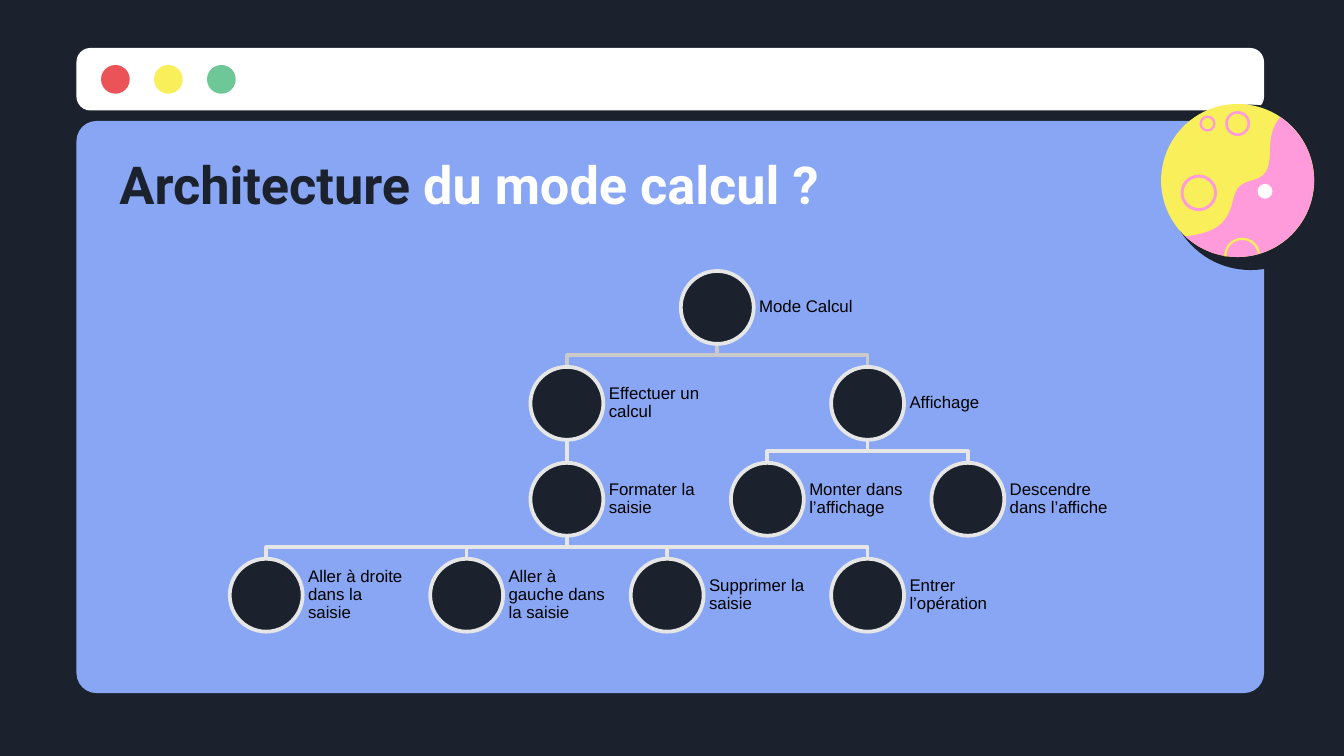
import math
import lxml.etree
import pptx
import pptx.dml.color
import pptx.enum.shapes
import pptx.enum.text
import pptx.oxml.ns
import pptx.util

Pt = pptx.util.Pt
Kind = pptx.enum.shapes.MSO_SHAPE

THEME = {
    "dark": "1B222D", "blue": "88A6F3", "white": "FFFFFF", "black": "000000",
    "red": "EB5358", "yellow": "F8EF5B", "green": "6DC797", "pink": "FF9BDA",
    "line": "E6E6E6", "root line": "CACACA",
    "title font": "Roboto", "title size": 28,
    "label font": "Arial", "label size": 9,
}

TITLE = [("Architecture", "dark"), (" du mode calcul ?", "white")]

# name: (label, column, level, parent)
TREE = {
    "root": ("Mode Calcul", 2.25, 0, None),
    "calc": ("Effectuer un calcul", 1.5, 1, "root"),
    "show": ("Affichage", 3, 1, "root"),
    "format": ("Formater la saisie", 1.5, 2, "calc"),
    "up": ("Monter dans l’affichage", 2.5, 2, "show"),
    "down": ("Descendre dans l’affiche", 3.5, 2, "show"),
    "right": ("Aller à droite dans la saisie", 0, 3, "format"),
    "left": ("Aller à gauche dans la saisie", 1, 3, "format"),
    "delete": ("Supprimer la saisie", 2, 3, "format"),
    "enter": ("Entrer l’opération", 3, 3, "format"),
}
NODE = 39.1           # diameter of a node
TOP = 164.7           # centre of the root
COL, ROW = 107.4, 51.4
LEFT = 142.6          # centre of the first column
LABEL = 58.3

BUTTONS = ["red", "yellow", "green"]

PLANET = (663, 96.7, 41)
RINGS = [(663, 66.2, 6, 1.4), (642.2, 103.3, 9, 1.6), (646.9, 66.2, 3.7, 1.2)]
COAST = [
    [(635, 126.7), (652.3, 124.6), (658.1, 119.5), (661, 105.8)],
    [(661, 105.8), (664.6, 90.7), (680.4, 103.7), (680.4, 81.4)],
    [(680.4, 81.4), (680.4, 70.6), (683.3, 65.5), (686.2, 62.6)],
]

deck = pptx.Presentation()
deck.slide_width, deck.slide_height = Pt(720), Pt(405)
slide = deck.slides.add_slide(deck.slide_layouts[6])
shapes = slide.shapes


def color(name):
    return pptx.dml.color.RGBColor.from_string(THEME[name])


def paint(shape, fill=None, line=None, width=1):
    shape.shadow.inherit = False
    if fill:
        shape.fill.solid()
        shape.fill.fore_color.rgb = color(fill)
    else:
        shape.fill.background()
    if line:
        shape.line.color.rgb = color(line)
        shape.line.width = Pt(width)
    else:
        shape.line.fill.background()


def disc(x, y, r, fill=None, line=None, width=1):
    shape = shapes.add_shape(Kind.OVAL, Pt(x - r), Pt(y - r), Pt(2 * r), Pt(2 * r))
    paint(shape, fill, line, width)


def panel(x, y, w, h, curve, fill):
    shape = shapes.add_shape(Kind.ROUNDED_RECTANGLE, Pt(x), Pt(y), Pt(w), Pt(h))
    shape.adjustments[0] = curve
    paint(shape, fill)


def trace(points, close=False):
    spots = [(Pt(x), Pt(y)) for x, y in points]
    maker = shapes.build_freeform(*spots[0])
    maker.add_line_segments(spots[1:], close=close)
    return maker.convert_to_shape()


def arc(x, y, r, start, end, steps=48):
    """Points on a circle; angles in degrees, clockwise from the right."""
    turns = [math.radians(start + (end - start) * i / steps) for i in range(steps + 1)]
    return [(x + r * math.cos(t), y + r * math.sin(t)) for t in turns]


def curve(a, b, c, d, steps=16):
    """Points on a cubic Bezier curve."""
    def mix(t, i):
        s = 1 - t
        return s**3 * a[i] + 3 * s * s * t * b[i] + 3 * s * t * t * c[i] + t**3 * d[i]
    return [(mix(i / steps, 0), mix(i / steps, 1)) for i in range(steps + 1)]


def write(box, parts, font, size, inset, bold=False, space=None):
    """Put one paragraph of box = (x, y, w, h) from (text, colour) parts."""
    frame = shapes.add_textbox(*map(Pt, box)).text_frame
    frame.word_wrap = True
    frame.vertical_anchor = pptx.enum.text.MSO_ANCHOR.MIDDLE
    frame.margin_left = frame.margin_right = Pt(inset)
    frame.margin_top = frame.margin_bottom = Pt(inset)
    para = frame.paragraphs[0]
    para.line_spacing = space
    for text, tint in parts:
        run = para.add_run()
        run.text = text
        run.font.name, run.font.size, run.font.bold = font, Pt(size), bold
        run.font.color.rgb = color(tint)


def place(name):
    _, col, level, _ = TREE[name]
    return LEFT + col * COL, TOP + level * ROW


def link(parent, child):
    (x1, y1), (x2, y2) = place(parent), place(child)
    y1, y2 = y1 + NODE / 2, y2 - NODE / 2
    tint = "root line" if parent == "root" else "line"
    if x1 == x2:
        line = shapes.add_connector(
            pptx.enum.shapes.MSO_CONNECTOR.STRAIGHT, Pt(x1), Pt(y1), Pt(x2), Pt(y2))
        line.line.color.rgb = color(tint)
        line.line.width = Pt(2)
        props = line._element.spPr
        lxml.etree.SubElement(props, pptx.oxml.ns.qn("a:effectLst"))
    else:
        mid = (y1 + y2) / 2
        paint(trace([(x1, y1), (x1, mid), (x2, mid), (x2, y2)]), line=tint, width=2)


def window():
    slide.background.fill.solid()
    slide.background.fill.fore_color.rgb = color("dark")
    panel(41, 64.8, 636.2, 306.5, 0.035, "blue")
    panel(41, 25.7, 636.2, 33.5, 0.223, "white")
    for i, tint in enumerate(BUTTONS):
        disc(61.8 + 28.4 * i, 42.5, 7.7, tint)


def planet():
    disc(670, 100.4, 44.3, "dark")
    disc(*PLANET, "yellow")
    for x, y, r, width in RINGS:
        disc(x, y, r, line="pink", width=width)
    land = arc(*PLANET, -56, 133)
    for part in COAST:
        land += curve(*part)
    paint(trace(land, close=True), "pink")
    paint(trace(arc(665.5, 137, 9, 178, 352)), line="yellow", width=1.2)
    disc(677.7, 102.5, 4, "white")


def tree():
    for name, (_, _, _, parent) in TREE.items():
        if parent:
            link(parent, name)
    for name, (text, *_) in TREE.items():
        x, y = place(name)
        disc(x, y, NODE / 2, "dark", "line", 2)
        write((x + NODE / 2, y - NODE / 2, LABEL, NODE), [(text, "black")],
              THEME["label font"], THEME["label size"], 2.9, space=0.9)


window()
planet()
write((56.9, 76.3, 607, 44.6), TITLE, THEME["title font"], THEME["title size"], 7.2, bold=True)
tree()
deck.save("out.pptx")
